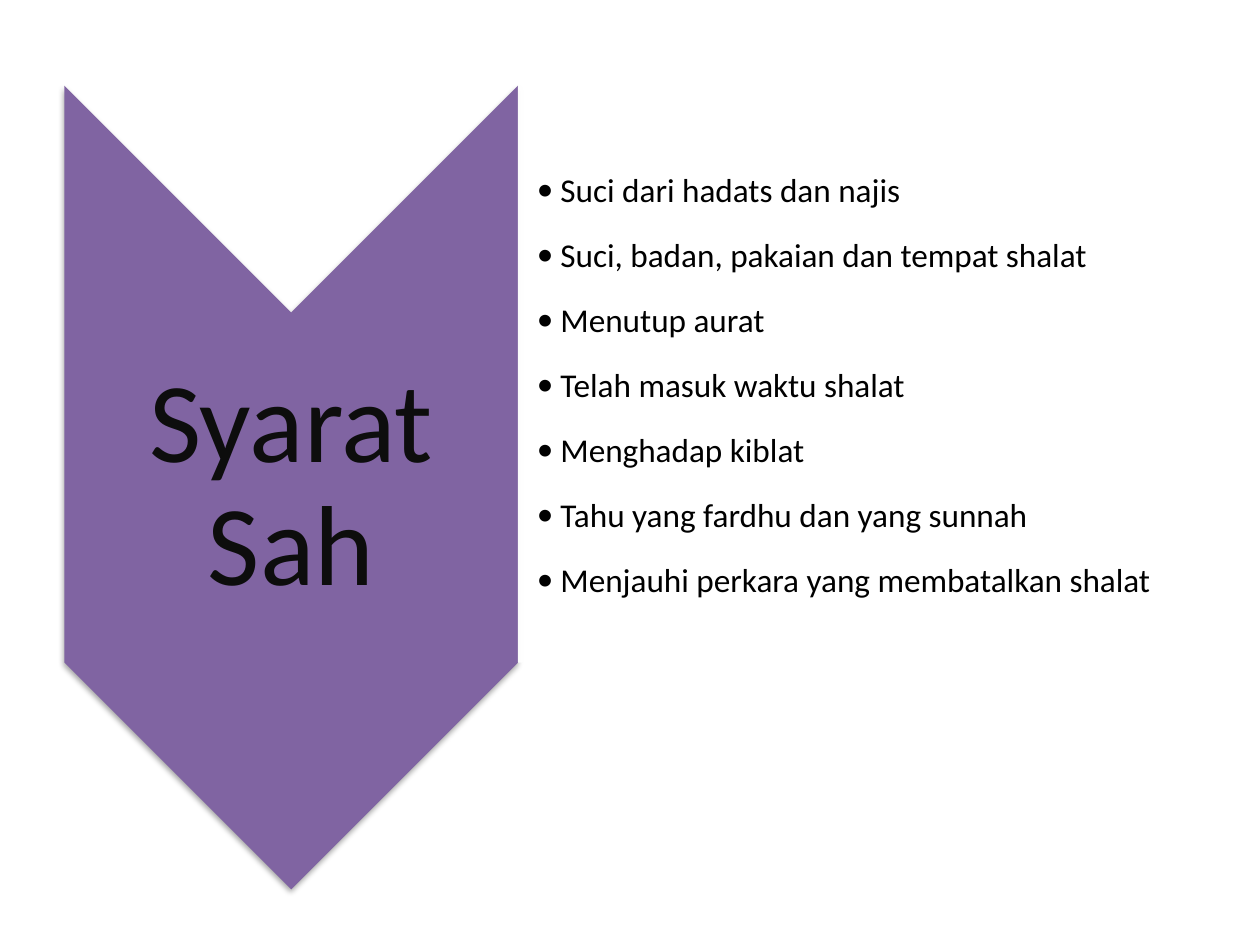
"""Build a slide listing the conditions for a valid prayer beside a chevron."""
from lxml import etree
from pptx import Presentation
from pptx import util as u
from pptx.dml import color
from pptx.enum import shapes, text
from pptx.oxml import ns

COLOURS = {"chevron": "8064A2", "panel": "FFFFFF", "title": "0D0D0D",
           "body": "000000", "shadow": "000000"}
FONT = "Calibri"
CONDITIONS = [
    "Suci dari hadats dan najis",
    "Suci, badan, pakaian dan tempat shalat",
    "Menutup aurat",
    "Telah masuk waktu shalat",
    "Menghadap kiblat",
    "Tahu yang fardhu dan yang sunnah",
    "Menjauhi perkara yang membatalkan shalat",
]


def rgb(name):
    """Return the named colour."""
    return color.RGBColor.from_string(COLOURS[name])


def child(parent, tag, **attributes):
    """Append a drawing element to its parent."""
    return etree.SubElement(parent, ns.qn(tag), **attributes)


def add_bullet(para, indent):
    """Give a paragraph a hanging round bullet."""
    properties = para._p.get_or_add_pPr()
    properties.set("marL", str(u.Pt(indent)))
    properties.set("indent", str(-u.Pt(indent)))
    child(properties, "a:buFont", typeface=FONT)
    child(properties, "a:buChar", char="•")


def add_soft_shadow(shape):
    """Cast a soft shadow straight down."""
    effects = shape._element.spPr.find(ns.qn("a:effectLst"))
    shadow = child(effects, "a:outerShdw", blurRad=str(u.Pt(3.1)), dist=str(u.Pt(1.8)),
                   dir="5400000", rotWithShape="0")
    tint = child(shadow, "a:srgbClr", val=COLOURS["shadow"])
    child(tint, "a:alpha", val="35000")


def add_turned_shape(page, box, kind, fill):
    """Draw a shape turned a quarter clockwise so that it fills the box."""
    left, top, width, height = box
    shape = page.shapes.add_shape(
        kind, u.Pt(left + (width - height) / 2),
        u.Pt(top + (height - width) / 2), u.Pt(height), u.Pt(width))
    shape.rotation = 90
    shape.shadow.inherit = False
    shape.fill.solid()
    shape.fill.fore_color.rgb = rgb(fill)
    shape.line.fill.background()
    return shape


def add_text(page, box, lines, *, size, colour, align, spacing, after, insets, indent=0):
    """Write lines as paragraphs in a vertically centred text box."""
    frame = page.shapes.add_textbox(*map(u.Pt, box)).text_frame
    frame.word_wrap = True
    frame.vertical_anchor = text.MSO_ANCHOR.MIDDLE
    (frame.margin_left, frame.margin_top,
     frame.margin_right, frame.margin_bottom) = map(u.Pt, insets)
    for index, line in enumerate(lines):
        para = frame.paragraphs[0] if index == 0 else frame.add_paragraph()
        para.alignment = align
        para.line_spacing = spacing
        para.space_after = u.Pt(after)
        if indent:
            add_bullet(para, indent)
        span = para.add_run()
        span.text = line
        span.font.name = FONT
        span.font.size = u.Pt(size)
        span.font.color.rgb = rgb(colour)


def add_title_chevron(page, box, title):
    """Draw a downward chevron filling the box, with its title between the points."""
    left, top, width, height = box
    chevron = add_turned_shape(page, box, shapes.MSO_SHAPE.CHEVRON, "chevron")
    chevron.adjustments[0] = 0.5
    add_soft_shadow(chevron)
    notch = width / 2
    add_text(page, (left, top + notch, width, height - 2 * notch), [title],
             size=65, colour="title", align=text.PP_ALIGN.CENTER,
             spacing=0.9, after=0, insets=(3.6,) * 4)


def add_conditions(page, box, lines):
    """List the conditions as bullets on a translucent panel filling the box."""
    left, top, width, height = box
    panel = add_turned_shape(page, box, shapes.MSO_SHAPE.ROUND_2_SAME_RECTANGLE, "panel")
    tint = panel._element.spPr.find(ns.qn("a:solidFill"))[0]
    child(tint, "a:alpha", val="90000")
    margin = 16
    add_text(page, (left, top + margin, width - margin, height - 2 * margin), lines,
             size=19, colour="body", align=text.PP_ALIGN.LEFT,
             spacing=1.5, after=2.95, insets=(10.8, 0.7, 0.7, 0.7), indent=13.5)


def main():
    """Build and save the deck."""
    deck = Presentation()
    deck.slide_width, deck.slide_height = u.Pt(720), u.Pt(540)
    page = deck.slides.add_slide(deck.slide_layouts[6])
    add_title_chevron(page, (36.8, 49, 259.2, 459.2), "Syarat Sah")
    add_conditions(page, (296, 48.8, 388.8, 329.8), CONDITIONS)
    deck.save("out.pptx")


main()
